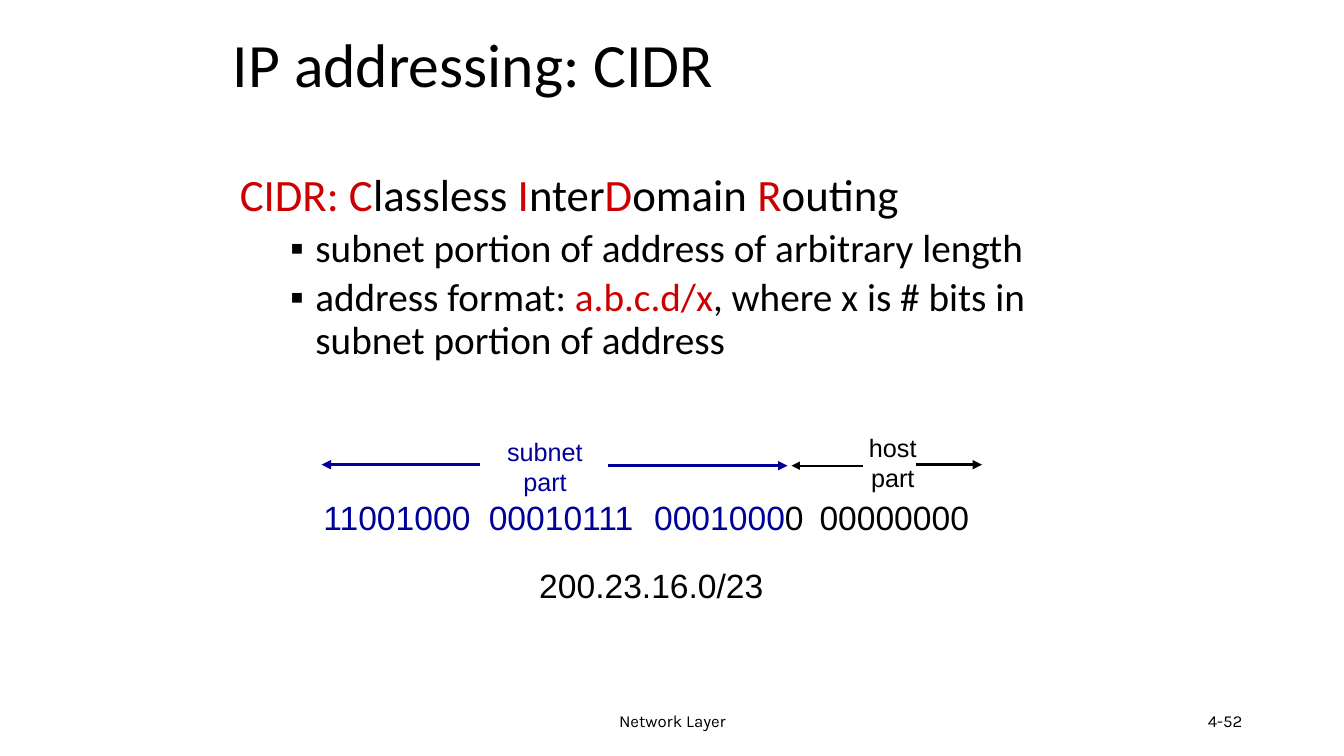
from lxml import etree
from pptx import Presentation
from pptx import util as u
from pptx.dml.color import RGBColor
from pptx.enum import shapes, text
from pptx.oxml import ns

BLACK, RED, BLUE = "000000", "CC0000", "000099"
LEFT, CENTER, RIGHT = text.PP_ALIGN.LEFT, text.PP_ALIGN.CENTER, text.PP_ALIGN.RIGHT
TOP, MIDDLE = text.MSO_ANCHOR.TOP, text.MSO_ANCHOR.MIDDLE


def rgb(value):
    return RGBColor.from_string(value)


def sub(parent, tag, **attrs):
    return etree.SubElement(parent, ns.qn(tag), attrs)


class SlideBuilder:
    """Hold the slide and its style, and add each kind of element."""

    heading_font, label_font, footer_font = "Calibri", "Arial", "Karla"

    def __init__(self, prs):
        self.s = prs.slides.add_slide(prs.slide_layouts[5])

    def place(self, sp, box):
        sp.left, sp.top, sp.width, sp.height = (u.Inches(v) for v in box)

    def runs(self, p, parts, size, font):
        for words, color in parts:
            r = p.add_run()
            r.text = words
            r.font.size = u.Pt(size)
            r.font.name = font
            r.font.color.rgb = rgb(color)

    def title(self, words, box):
        sp = self.s.shapes.title
        self.place(sp, box)
        tf = sp.text_frame
        tf.auto_size = text.MSO_AUTO_SIZE.NONE
        tf.vertical_anchor = MIDDLE
        p = tf.paragraphs[0]
        p.alignment = LEFT
        p.line_spacing = 0.9
        self.runs(p, [(words, BLACK)], 44, self.heading_font)

    def frame(self, box, anchor=TOP, wrap=True):
        sp = self.s.shapes.add_textbox(*(u.Inches(v) for v in box))
        tf = sp.text_frame
        tf.word_wrap = wrap
        tf.vertical_anchor = anchor
        return tf

    def label(self, box, lines, size, font, align=LEFT, anchor=TOP, wrap=True):
        tf = self.frame(box, anchor, wrap)
        for i, parts in enumerate(lines):
            p = tf.add_paragraph() if i else tf.paragraphs[0]
            p.alignment = align
            self.runs(p, parts, size, font)
        return tf

    def body(self, box, heading, bullets):
        tf = self.frame(box)
        p = tf.paragraphs[0]
        p.line_spacing = 0.9
        self.runs(p, heading, 32, self.heading_font)
        for parts in bullets:
            p = tf.add_paragraph()
            p.level = 1
            p.line_spacing = 0.9
            p.space_before = u.Pt(5)
            pPr = p._p.get_or_add_pPr()
            pPr.set("marL", str(u.Inches(0.75)))
            pPr.set("indent", str(u.Inches(-0.25)))
            sub(pPr, "a:buFont", typeface="Arial")
            sub(pPr, "a:buChar", char="▪")
            self.runs(p, parts, 28, self.heading_font)

    def octets(self, box, parts, step):
        p = self.label(box, [[]], 24, self.label_font).paragraphs[0]
        tabs = sub(p._p.get_or_add_pPr(), "a:tabLst")
        for i in range(1, 4):
            sub(tabs, "a:tab", pos=str(u.Inches(step * i)), algn="l")
        self.runs(p, parts, 24, self.label_font)

    def arrow(self, x1, x2, y, color, width):
        c = self.s.shapes.add_connector(
            shapes.MSO_CONNECTOR.STRAIGHT,
            u.Inches(x1), u.Inches(y), u.Inches(x2), u.Inches(y))
        c.line.color.rgb = rgb(color)
        c.line.width = u.Pt(width)
        sub(c.line._get_or_add_ln(), "a:tailEnd", type="triangle")
        sub(c._element.spPr, "a:effectLst")


def main():
    prs = Presentation()
    prs.slide_width, prs.slide_height = u.Inches(13.33), u.Inches(7.5)
    b = SlideBuilder(prs)

    b.title("IP addressing: CIDR", (2.21, 0.21, 8.5, 0.93))
    b.body(
        (2.28, 1.67, 8.87, 2.2),
        [("CIDR: C", RED), ("lassless ", BLACK), ("I", RED), ("nter", BLACK),
         ("D", RED), ("omain ", BLACK), ("R", RED), ("outing", BLACK)],
        [[("subnet portion of address of arbitrary length", BLACK)],
         [("address format: ", BLACK), ("a.b.c.d/x", RED),
          (", where x is # bits in subnet portion of address", BLACK)]])

    b.octets((3.11, 4.88, 6.7, 0.5),
             [("11001000\t00010111\t0001000", BLUE), ("0\t00000000", BLACK)], 1.64)
    b.label((5.25, 5.56, 2.43, 0.5), [[("200.23.16.0/23", BLACK)]],
            24, b.label_font, wrap=False)

    for name, box, color in (("subnet", (4.93, 4.28, 0.95, 0.7), BLUE),
                             ("host", (8.52, 4.24, 0.67, 0.7), BLACK)):
        b.label(box, [[(name, color)], [("part", color)]],
                18, b.label_font, CENTER, wrap=False)

    for x1, x2, y, color, width in ((4.76, 3.19, 4.61, BLUE, 2.25),
                                    (6.03, 7.81, 4.62, BLUE, 2.25),
                                    (8.56, 7.85, 4.62, BLACK, 1.5),
                                    (9.09, 9.74, 4.61, BLACK, 2.25)):
        b.arrow(x1, x2, y, color, width)

    for words, x, width, align in (("Network Layer", 4.42, 4.5, CENTER),
                                   ("4-52", 9.42, 3, RIGHT)):
        b.label((x, 6.95, width, 0.4), [[(words, BLACK)]],
                12, b.footer_font, align, MIDDLE)

    prs.save("out.pptx")


if __name__ == "__main__":
    main()
